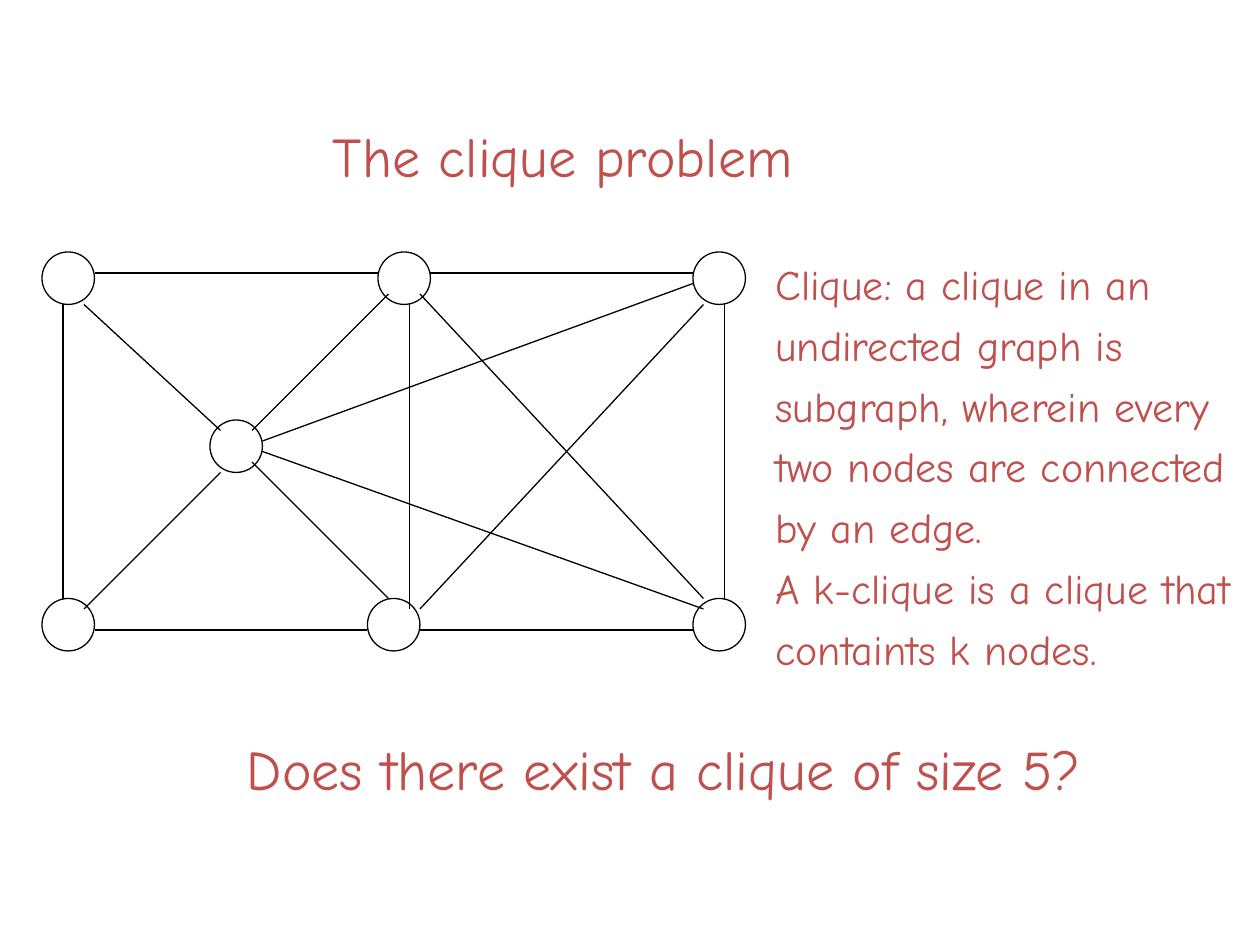
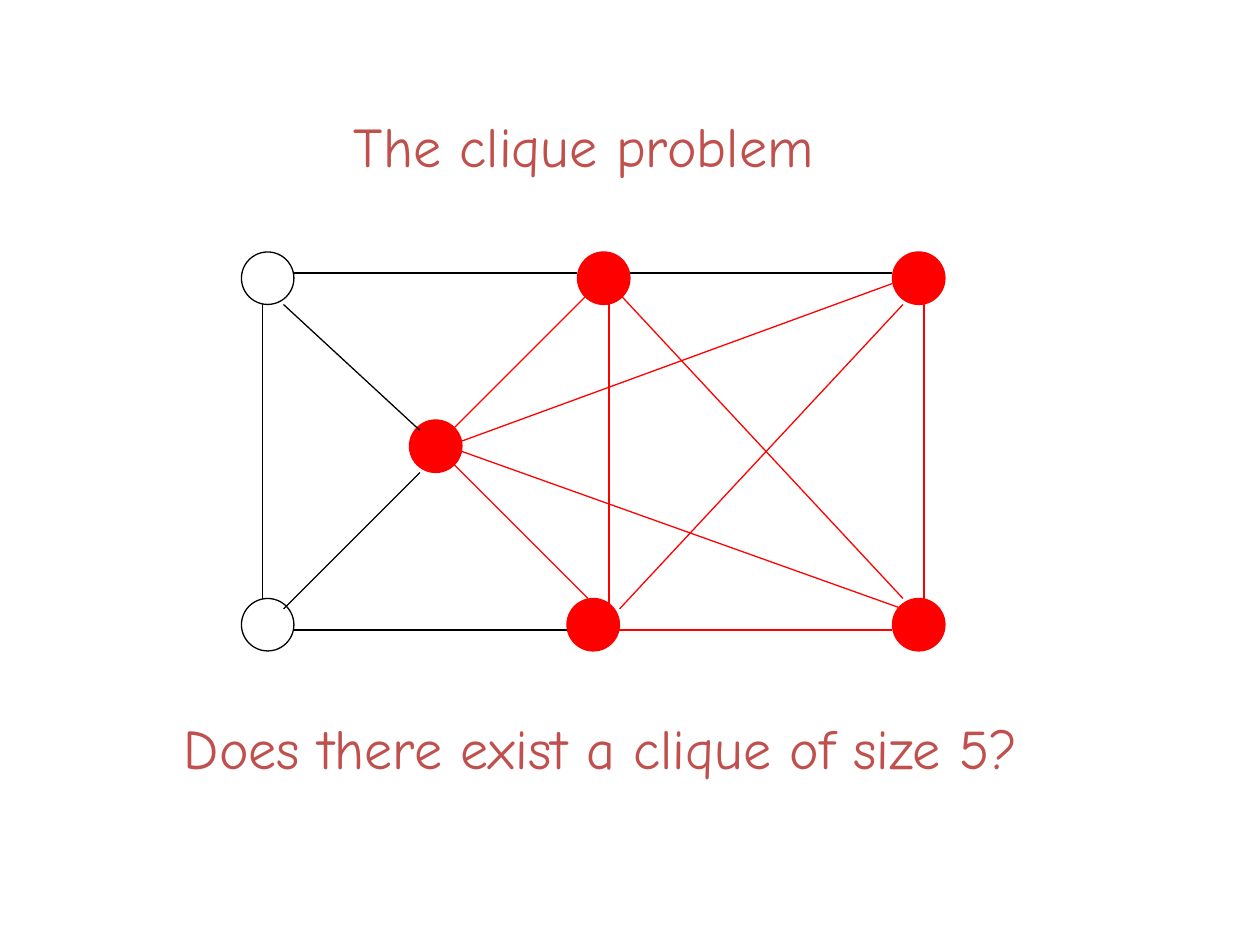
from lxml.etree import SubElement
from pptx import Presentation
from pptx.dml.color import RGBColor
from pptx.enum.shapes import MSO_CONNECTOR, MSO_SHAPE
from pptx.enum.text import MSO_ANCHOR, MSO_AUTO_SIZE, PP_ALIGN
from pptx.oxml.ns import qn
from pptx.util import Pt

BLACK = RGBColor(0x00, 0x00, 0x00)
RED = RGBColor(0xFF, 0x00, 0x00)
BRICK = RGBColor(0xC0, 0x50, 0x4D)
FONT = "Comic Neue"
SIZE = 30
WIDTH = 0.75
SHIFT = 114

NODES = {
    "A": (24, 144), "B": (216, 144), "C": (396, 144),
    "D": (120, 240),
    "E": (24, 342), "F": (210, 342), "G": (396, 342),
}
EDGES = {
    "AD": (48, 174, 126, 246),
    "AE": (36, 174, 36, 342),
    "EF": (54, 360, 210, 360),
    "DF": (144, 264, 222, 342),
    "BF": (234, 174, 234, 348),
    "BC": (246, 156, 396, 156),
    "FC": (240, 348, 402, 174),
    "CG": (414, 174, 414, 342),
    "BG": (240, 168, 402, 342),
    "FG": (240, 360, 396, 360),
    "AB": (54, 156, 216, 156),
    "DB": (144, 246, 222, 168),
    "ED": (48, 348, 126, 270),
    "DG": (150, 258, 402, 348),
    "DC": (150, 252, 396, 162),
}
CLIQUE = set("BCDFG")
PLAIN = {"BC"}

TITLE = "The clique problem"
QUERY = "Does there exist a clique of size 5?"
BODY = [
    "Clique: a clique in an",
    "undirected graph is",
    "subgraph, wherein every",
    "two nodes are connected",
    "by an edge.",
    "A k-clique is a clique that",
    "containts k nodes.",
]


def fill_text(shape, lines, size, gap=0):
    frame = shape.text_frame
    frame.text = "\n".join(lines)
    frame.word_wrap = False
    frame.auto_size = MSO_AUTO_SIZE.NONE
    frame.vertical_anchor = MSO_ANCHOR.TOP
    for index, para in enumerate(frame.paragraphs):
        para.alignment = PP_ALIGN.LEFT
        para.space_before = Pt(gap if index else 0)
        for run in para.runs:
            run.font.name = FONT
            run.font.size = Pt(size)
            run.font.color.rgb = BRICK


def add_title(slide, left, top):
    title = slide.shapes.title
    title.left, title.top = Pt(left), Pt(top)
    title.width, title.height = Pt(278), Pt(46)
    fill_text(title, [TITLE], 32)


def add_text(slide, left, top, width, height, lines, size, gap=0):
    box = slide.shapes.add_textbox(Pt(left), Pt(top), Pt(width), Pt(height))
    fill_text(box, lines, size, gap)


def add_node(slide, left, top, marked):
    node = slide.shapes.add_shape(
        MSO_SHAPE.OVAL, Pt(left), Pt(top), Pt(SIZE), Pt(SIZE))
    node.shadow.inherit = False
    node.line.width = Pt(WIDTH)
    node.line.color.rgb = RED if marked else BLACK
    if marked:
        node.fill.solid()
        node.fill.fore_color.rgb = RED
    else:
        node.fill.background()


def add_edge(slide, ends, color):
    edge = slide.shapes.add_connector(
        MSO_CONNECTOR.STRAIGHT, *[Pt(end) for end in ends])
    edge.line.width = Pt(WIDTH)
    edge.line.color.rgb = color
    SubElement(edge._element.spPr, qn("a:effectLst"))


def draw_graph(slide, shift=0, clique=frozenset()):
    for name, (left, top) in NODES.items():
        add_node(slide, left + shift, top, name in clique)
    for pair, (x1, y1, x2, y2) in EDGES.items():
        marked = clique.issuperset(pair) and pair not in PLAIN
        add_edge(slide, (x1 + shift, y1, x2 + shift, y2),
                 RED if marked else BLACK)


def add_query(slide, left, top):
    add_text(slide, left, top, 493, 46, [QUERY], 32)


def main():
    deck = Presentation()
    deck.slide_width, deck.slide_height = Pt(720), Pt(540)
    layout = deck.slide_layouts[5]

    task = deck.slides.add_slide(layout)
    add_title(task, 183, 66)
    draw_graph(task)
    add_query(task, 134, 416)
    add_text(task, 436, 144, 281, 245, BODY, 24, 6)

    answer = deck.slides.add_slide(layout)
    add_title(answer, 195, 60)
    draw_graph(answer, SHIFT, CLIQUE)
    add_query(answer, 98, 404)

    deck.save("out.pptx")


if __name__ == "__main__":
    main()
